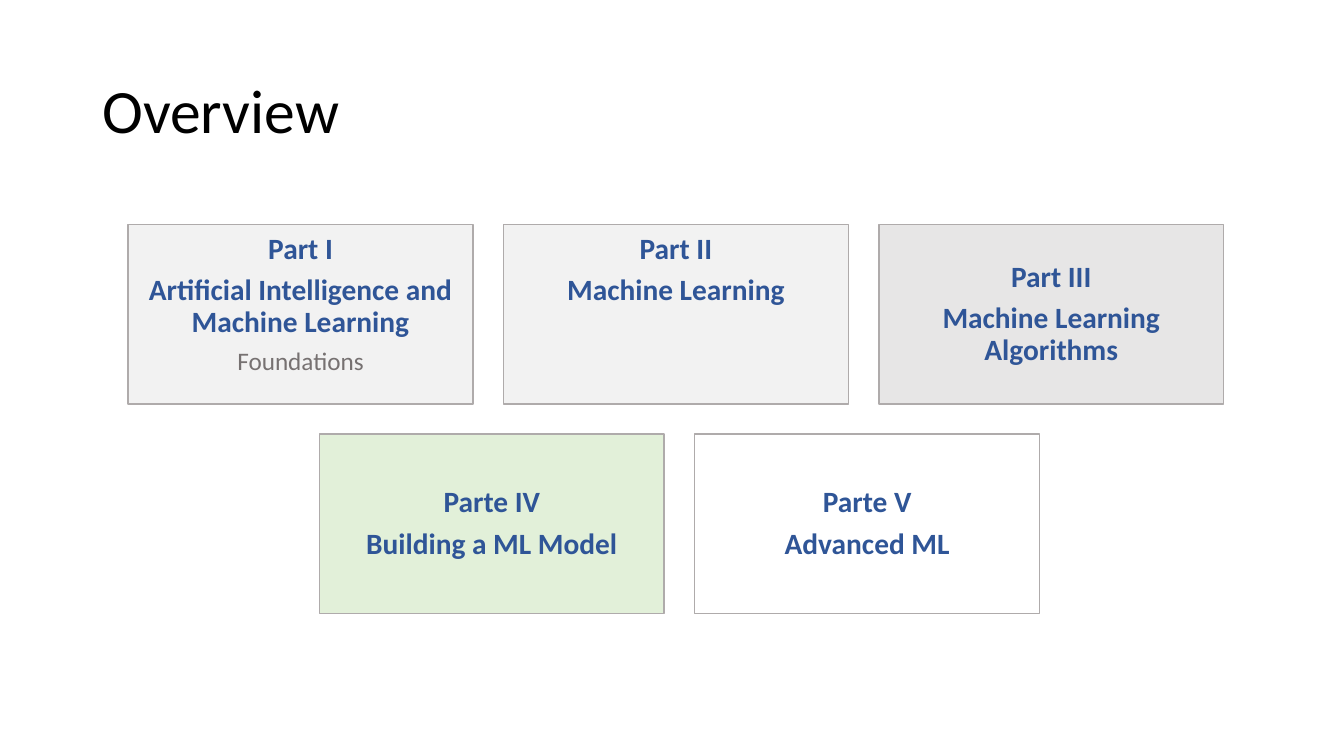
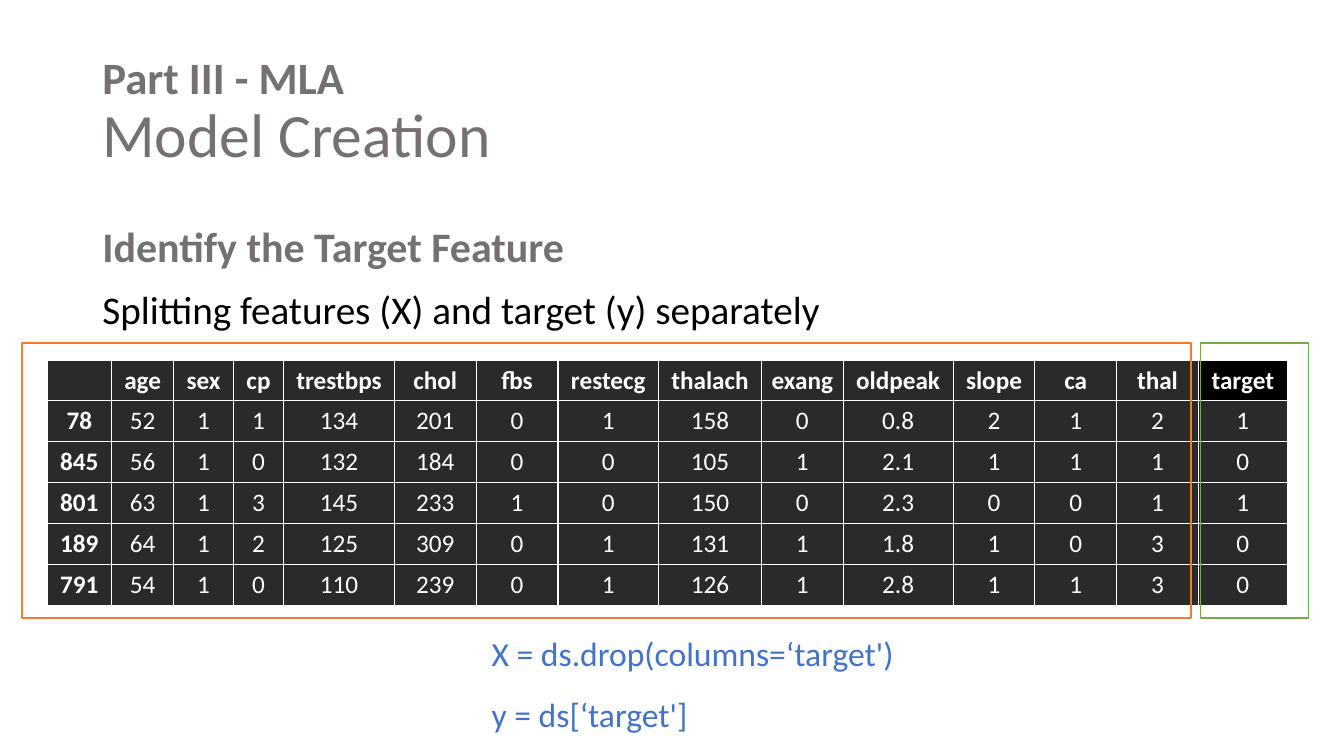
from dataclasses import dataclass
from typing import NamedTuple

from pptx import Presentation
from pptx.dml.color import RGBColor as RGB
from pptx.enum.shapes import MSO_SHAPE as Shape
from pptx.enum.text import MSO_ANCHOR as Anchor, PP_ALIGN as Align
from pptx.util import Cm, Pt


class Style(NamedTuple):
    size: int
    color: str
    bold: bool = False


@dataclass(frozen=True)
class Theme:
    font: str = "Calibri"
    edge: str = "AFABAB"
    light: str = "F2F2F2"
    mid: str = "E7E6E6"
    mint: str = "E2F0D9"
    white: str = "FFFFFF"
    dark: str = "282A2C"
    black: str = "000000"
    green: str = "70AD47"
    orange: str = "ED7D31"
    title: Style = Style(44, "000000")
    kicker: Style = Style(32, "767171", True)
    topic: Style = Style(44, "767171")
    head: Style = Style(30, "767171", True)
    body: Style = Style(28, "000000")
    code: Style = Style(24, "4472C4")
    card: Style = Style(21, "2F5597", True)
    note: Style = Style(18, "767171")
    label: Style = Style(18, "FFFFFF", True)
    value: Style = Style(18, "FFFFFF")


THEME = Theme()


class Box(NamedTuple):
    """Left, top, width and height in centimetres."""
    left: float
    top: float
    width: float
    height: float

    def place(self) -> tuple:
        return tuple(Cm(side) for side in self)


class Line(NamedTuple):
    text: str
    style: Style


class Card(NamedTuple):
    lines: list
    fill: str
    anchor: Anchor = Anchor.MIDDLE


TITLE = Box(2.33, 1.01, 29.21, 3.68)
CARD_W, CARD_H = 8.69, 4.52
STEP_X, STEP_Y = 9.46, 5.28
CARD_TOP = 5.66
CARDS = [
    (3.23, [
        Card([Line("Part I", THEME.card),
              Line("Artificial Intelligence and Machine Learning", THEME.card),
              Line("Foundations", THEME.note)], THEME.light, Anchor.TOP),
        Card([Line("Part II", THEME.card),
              Line("Machine Learning", THEME.card)], THEME.light, Anchor.TOP),
        Card([Line("Part III", THEME.card),
              Line("Machine Learning Algorithms", THEME.card)], THEME.mid),
    ]),
    (8.05, [
        Card([Line("Parte IV", THEME.card),
              Line("Building a ML Model", THEME.card)], THEME.mint),
        Card([Line("Parte V", THEME.card),
              Line("Advanced ML", THEME.card)], THEME.white),
    ]),
]

WIDTHS = [1.62, 1.57, 1.5, 1.27, 2.79, 2.06, 2.06, 2.54, 2.59, 2.06, 2.77,
          2.06, 2.06, 2.06, 2.24]
ROW_H = 1.03
NAMES = ["", "age", "sex", "cp", "trestbps", "chol", "fbs", "restecg",
         "thalach", "exang", "oldpeak", "slope", "ca", "thal", "target"]
DATA = [
    [78, 52, 1, 1, 134, 201, 0, 1, 158, 0, 0.8, 2, 1, 2, 1],
    [845, 56, 1, 0, 132, 184, 0, 0, 105, 1, 2.1, 1, 1, 1, 0],
    [801, 63, 1, 3, 145, 233, 1, 0, 150, 0, 2.3, 0, 0, 1, 1],
    [189, 64, 1, 2, 125, 309, 0, 1, 131, 1, 1.8, 1, 0, 3, 0],
    [791, 54, 1, 0, 110, 239, 0, 1, 126, 1, 2.8, 1, 1, 3, 0],
]


def paint(run, style: Style) -> None:
    font = run.font
    font.name, font.size, font.bold = THEME.font, Pt(style.size), style.bold
    font.color.rgb = RGB.from_string(style.color)


def write(frame, lines: list, **layout) -> None:
    """Fill a frame with one paragraph per line, setting paragraph layout."""
    frame.word_wrap = True
    frame.text = "\n".join(line.text for line in lines)
    for para, line in zip(frame.paragraphs, lines):
        for name, value in layout.items():
            setattr(para, name, value)
        for run in para.runs:
            paint(run, line.style)


def add_text(slide, box: Box, lines: list, **layout) -> None:
    write(slide.shapes.add_textbox(*box.place()).text_frame, lines, **layout)


def add_title(slide, lines: list) -> None:
    """Draw the title as one paragraph with a soft break between lines."""
    frame = slide.shapes.add_textbox(*TITLE.place()).text_frame
    frame.word_wrap = True
    frame.vertical_anchor = Anchor.MIDDLE
    para = frame.paragraphs[0]
    para.text = "\v".join(line.text for line in lines)
    para.line_spacing = 0.9
    for run, line in zip(para.runs, lines):
        paint(run, line.style)


def add_rect(slide, box: Box, edge: str, fill: str = ""):
    rect = slide.shapes.add_shape(Shape.RECTANGLE, *box.place())
    rect.shadow.inherit = False
    rect.line.color.rgb = RGB.from_string(edge)
    rect.line.width = Pt(1)
    if fill:
        rect.fill.solid()
        rect.fill.fore_color.rgb = RGB.from_string(fill)
    else:
        rect.fill.background()
    return rect


def add_card(slide, box: Box, card: Card) -> None:
    frame = add_rect(slide, box, THEME.edge, card.fill).text_frame
    frame.margin_left = frame.margin_right = Cm(0.2)
    frame.margin_top = frame.margin_bottom = Cm(0.23)
    frame.vertical_anchor = card.anchor
    write(frame, card.lines, alignment=Align.CENTER, line_spacing=0.9,
          space_after=Pt(7))


def add_grid(slide, left: float, top: float) -> None:
    """Draw the data table with bold row and column labels."""
    rows = [NAMES, *DATA]
    box = Box(left, top, sum(WIDTHS), ROW_H * len(rows))
    grid = slide.shapes.add_table(len(rows), len(NAMES), *box.place()).table
    for col, width in zip(grid.columns, WIDTHS):
        col.width = Cm(width)
    for r, row in enumerate(rows):
        for c, item in enumerate(row):
            cell = grid.cell(r, c)
            fill = THEME.black if item == "target" else THEME.dark
            cell.fill.solid()
            cell.fill.fore_color.rgb = RGB.from_string(fill)
            cell.margin_left = cell.margin_right = Cm(0.1)
            cell.vertical_anchor = Anchor.MIDDLE
            style = THEME.label if r == 0 or c == 0 else THEME.value
            write(cell.text_frame, [Line(str(item), style)],
                  alignment=Align.CENTER)


def overview(slide) -> None:
    add_title(slide, [Line("Overview", THEME.title)])
    for r, (left, cards) in enumerate(CARDS):
        for c, card in enumerate(cards):
            box = Box(left + c * STEP_X, CARD_TOP + r * STEP_Y, CARD_W, CARD_H)
            add_card(slide, box, card)


def model(slide) -> None:
    add_title(slide, [Line("Part III - MLA", THEME.kicker),
                      Line("Model Creation", THEME.topic)])
    add_text(slide, Box(2.33, 5.44, 30.28, 12.09), [
        Line("Identify the Target Feature", THEME.head),
        Line("Splitting features (X) and target (y) separately", THEME.body),
    ], space_before=Pt(10))
    add_grid(slide, 1.19, 9.07)
    add_text(slide, Box(12.14, 15.32, 16.94, 3.18), [
        Line("X = ds.drop(columns=‘target')", THEME.code),
        Line("y = ds[‘target']", THEME.code),
    ], line_spacing=1.5)
    for left, width, edge in [(30.25, 2.72, THEME.green),
                              (0.56, 29.46, THEME.orange)]:
        add_rect(slide, Box(left, 8.64, width, 6.93), edge)


def main() -> None:
    deck = Presentation()
    deck.slide_width, deck.slide_height = Cm(33.87), Cm(19.05)
    for draw in (overview, model):
        draw(deck.slides.add_slide(deck.slide_layouts[6]))
    deck.save("out.pptx")


if __name__ == "__main__":
    main()
